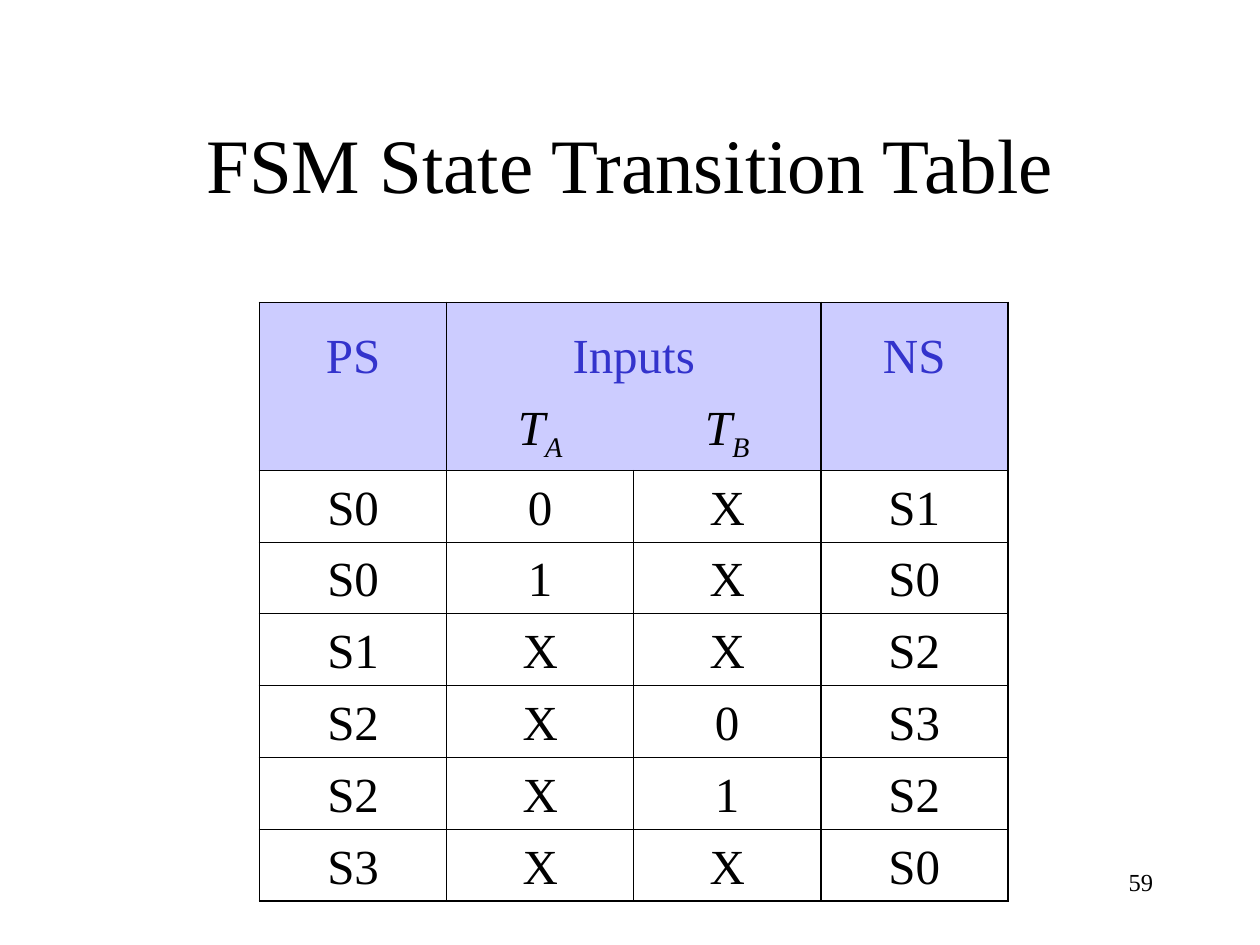
from lxml import etree
from pptx import Presentation
from pptx.dml.color import RGBColor
from pptx.enum.text import MSO_ANCHOR, PP_ALIGN
from pptx.oxml.ns import qn
from pptx.util import Inches, Pt

CENTER, RIGHT = PP_ALIGN.CENTER, PP_ALIGN.RIGHT
MIDDLE, BOTTOM = MSO_ANCHOR.MIDDLE, MSO_ANCHOR.BOTTOM
FONT = "Times New Roman"
BLACK = RGBColor(0x00, 0x00, 0x00)
BLUE = RGBColor(0x33, 0x33, 0xCC)
LAVENDER = RGBColor(0xCC, 0xCC, 0xFF)

HEADER_ROWS = 2
HEADINGS = ["PS", "Inputs", "", "NS"]
INPUT_SUBSCRIPTS = ["", "A", "B", ""]
TRANSITIONS = [
    ["S0", "0", "X", "S1"],
    ["S0", "1", "X", "S0"],
    ["S1", "X", "X", "S2"],
    ["S2", "X", "0", "S3"],
    ["S2", "X", "1", "S2"],
    ["S3", "X", "X", "S0"],
]
ROW_HEIGHTS = [0.7, 0.63] + [0.57] * len(TRANSITIONS)
COLUMN_RULES = [1.08, 0.45, 0.45, 1.47, 1.08]
ROW_RULES = [1.08, 0] + [0.45] * len(TRANSITIONS) + [1.08]


def add_text(paragraph, text, size=28, color=BLACK, italic=False,
             align=CENTER, baseline=0):
    """Append a formatted run to a paragraph."""
    paragraph.alignment = align
    run = paragraph.add_run()
    run.text = text
    run.font.name = FONT
    run.font.size = Pt(size)
    run.font.italic = italic
    run.font.color.rgb = color
    if baseline:
        run.font._element.set("baseline", str(baseline * 1000))


def set_border(cell, side, width):
    """Draw one side of a cell in black, or hide it when the width is zero."""
    border = etree.SubElement(cell._tc.get_or_add_tcPr(), qn(f"a:ln{side}"),
                              w=str(Pt(width)))
    if width:
        fill = etree.SubElement(border, qn("a:solidFill"))
        etree.SubElement(fill, qn("a:srgbClr"), val=str(BLACK))
    else:
        etree.SubElement(border, qn("a:noFill"))


def format_cell(cell, row, column):
    """Give a cell its rules, fill and anchor from its place in the grid."""
    in_inputs_heading = row < HEADER_ROWS
    inner = [0 if in_inputs_heading and edge == 2 else COLUMN_RULES[edge]
             for edge in (column, column + 1)]
    if cell.is_merge_origin:
        inner[1] = COLUMN_RULES[column + cell.span_width]
    widths = {"L": inner[0], "R": inner[1],
              "T": ROW_RULES[row], "B": ROW_RULES[row + 1]}
    for side, width in widths.items():
        set_border(cell, side, width)
    if row < HEADER_ROWS:
        cell.fill.solid()
        cell.fill.fore_color.rgb = LAVENDER
    else:
        cell.fill.background()
    cell.vertical_anchor = BOTTOM


def add_title(slide, left, top, width, height):
    """Place the slide title."""
    title = slide.shapes.title
    title.left, title.top, title.width, title.height = left, top, width, height
    title.text_frame.vertical_anchor = MIDDLE
    add_text(title.text_frame.paragraphs[0], "FSM State Transition Table",
             size=44)


def add_transition_table(slide, left, top, width, height):
    """Place the table of present states, inputs and next states."""
    contents = [HEADINGS, INPUT_SUBSCRIPTS] + TRANSITIONS
    table = slide.shapes.add_table(len(contents), len(HEADINGS), left, top,
                                   width, height).table
    table.first_row = table.horz_banding = False
    for row, row_height in zip(table.rows, ROW_HEIGHTS):
        row.height = Inches(row_height)
    table.cell(0, 1).merge(table.cell(0, 2))
    for row, texts in enumerate(contents):
        for column, text in enumerate(texts):
            cell = table.cell(row, column)
            format_cell(cell, row, column)
            if not text:
                continue
            paragraph = cell.text_frame.paragraphs[0]
            if texts is INPUT_SUBSCRIPTS:
                add_text(paragraph, "T", italic=True)
                add_text(paragraph, text, italic=True, baseline=-25)
            else:
                add_text(paragraph, text, color=BLACK if row else BLUE)


def add_page_number(slide, left, top, width, height):
    """Place the page number."""
    frame = slide.shapes.add_textbox(left, top, width, height).text_frame
    frame.word_wrap = True
    add_text(frame.paragraphs[0], "59", size=14, align=RIGHT)


def main():
    """Build the slide and save it."""
    presentation = Presentation()
    presentation.slide_width = Inches(10)
    presentation.slide_height = Inches(7.5)
    slide = presentation.slides.add_slide(presentation.slide_layouts[5])
    add_page_number(slide, Inches(7.17), Inches(6.83), Inches(2.08), Inches(0.5))
    add_title(slide, Inches(0.75), Inches(0.67), Inches(8.5), Inches(1.25))
    add_transition_table(slide, Inches(2.06), Inches(2.4), Inches(5.94),
                         Inches(sum(ROW_HEIGHTS)))
    presentation.save("out.pptx")


if __name__ == "__main__":
    main()
